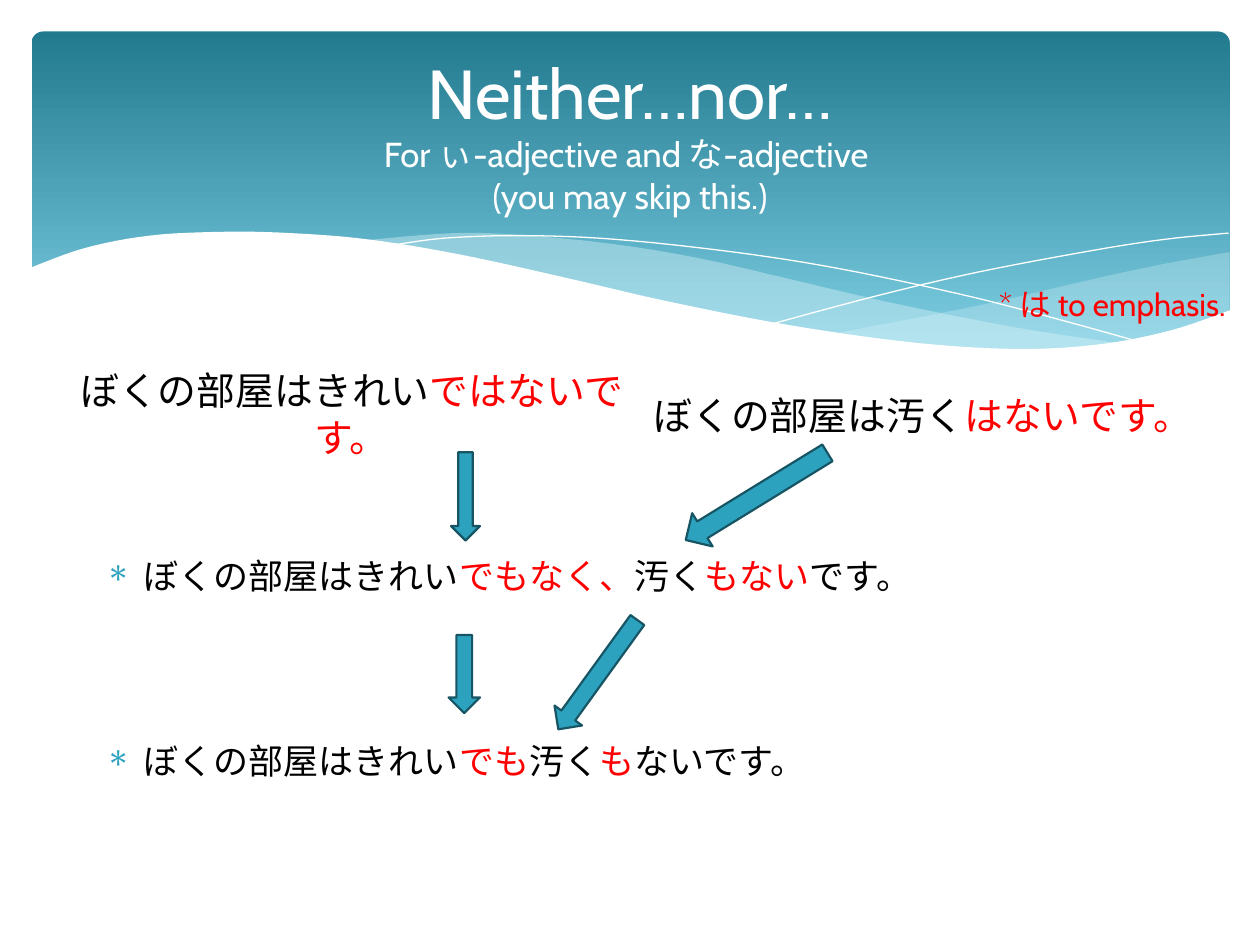
from lxml import etree
from pptx import Presentation
from pptx.dml.color import RGBColor
from pptx.enum.shapes import MSO_SHAPE
from pptx.enum.text import MSO_ANCHOR, PP_ALIGN
from pptx.oxml.ns import qn
from pptx.util import Inches, Pt

PANEL, ARROW = MSO_SHAPE.ROUNDED_RECTANGLE, MSO_SHAPE.DOWN_ARROW
TOP, MIDDLE = MSO_ANCHOR.TOP, MSO_ANCHOR.MIDDLE
LEFT, CENTER = PP_ALIGN.LEFT, PP_ALIGN.CENTER
COLUMNS, ROWS = 10, 7.5
FONT = "Cabin"
COLORS = {
    "white": "FFFFFF", "black": "000000", "red": "FF0000", "accent": "2DA2BF",
    "outline": "175564", "deep": "227A8F", "sky": "7ACBE0", "mist": "DEF5FA",
}

WAVE_TOP = [(9.77, 2.46), (9.3, 2.62), (8.75, 2.73), (8.09, 2.77), (7.26, 2.72),
            (6.26, 2.58), (5.29, 2.39), (4.47, 2.2), (3.65, 2.02), (2.92, 1.9),
            (2.3, 1.85), (1.77, 1.84), (1.19, 1.87), (0.67, 1.97), (0.23, 2.13)]
WAVE_BASE = [(0.23, 3.29), (9.77, 3.29)]
LONG_UPPER = [(8.93, 2.73), (8.07, 2.6), (7.06, 2.4), (6.29, 2.22), (5.55, 2.05),
              (4.89, 1.94), (4.2, 1.87), (3.61, 1.85), (2.86, 1.91)]
LONG_LOWER = [(2.86, 1.91), (3.62, 2.03), (4.49, 2.22), (5.3, 2.4), (6.01, 2.55),
              (6.8, 2.68), (7.48, 2.76), (8.18, 2.78), (8.93, 2.73)]
SHORT_UPPER = [(9.76, 2), (9.21, 2.1), (8.61, 2.23), (7.79, 2.42), (6.61, 2.65)]
SHORT_LOWER = [(6.61, 2.65), (7.32, 2.74), (8.03, 2.78), (8.72, 2.74),
               (9.28, 2.63), (9.76, 2.47)]
FALLING_LINE = [(3.09, 1.95), (3.53, 1.89), (4.16, 1.87), (4.89, 1.9), (5.82, 2),
                (6.65, 2.13), (7.6, 2.33), (8.31, 2.51), (9.07, 2.72)]
RISING_LINE = [(6.13, 2.57), (6.95, 2.35), (7.76, 2.16), (8.66, 1.99),
               (9.24, 1.9), (9.75, 1.85)]


def smooth(points, steps=6):
    padded = [points[0], *points, points[-1]]
    curve = [points[0]]
    for a, b, c, d in zip(padded, padded[1:], padded[2:], padded[3:]):
        for step in range(1, steps + 1):
            t = step / steps
            curve.append(tuple(
                (2 * q + (r - p) * t + (2 * p - 5 * q + 4 * r - s) * t ** 2
                 + (3 * q - p - 3 * r + s) * t ** 3) / 2
                for p, q, r, s in zip(a, b, c, d)))
    return curve


def rgb(name):
    return RGBColor.from_string(COLORS[name])


def write(frame, runs, size, align=LEFT, anchor=TOP, bullet=None):
    frame.word_wrap = True
    frame.vertical_anchor = anchor
    paragraph = frame.paragraphs[0]
    paragraph.alignment = align
    if bullet:
        properties = paragraph._p.get_or_add_pPr()
        properties.set("marL", str(Inches(0.3)))
        properties.set("indent", str(-Inches(0.3)))
        tint = etree.SubElement(properties, qn("a:buClr"))
        etree.SubElement(tint, qn("a:srgbClr"), val=COLORS["accent"])
        etree.SubElement(properties, qn("a:buChar"), char=bullet)
    for words, color, *own_size in runs:
        for index, line in enumerate(words.split("\n")):
            if index:
                paragraph.add_line_break()
            if line:
                run = paragraph.add_run()
                run.text = line
                run.font.name = FONT
                run.font.size = Pt(own_size[0] if own_size else size)
                run.font.color.rgb = rgb(color)


class Deck:
    def __init__(self):
        self.presentation = Presentation()
        self.presentation.slide_width = Inches(10)
        self.presentation.slide_height = Inches(7.5)
        self.column = self.presentation.slide_width / COLUMNS
        self.row = self.presentation.slide_height / ROWS
        blank = self.presentation.slide_layouts[6]
        self.slide = self.presentation.slides.add_slide(blank)

    def place(self, column, row, columns, rows):
        return (round(column * self.column), round(row * self.row),
                round(columns * self.column), round(rows * self.row))

    def panel(self, *cells):
        panel = self.slide.shapes.add_shape(PANEL, *self.place(*cells))
        panel.shadow.inherit = False
        panel.adjustments[0] = 0.034
        panel.line.fill.background()
        panel.fill.gradient()
        panel.fill.gradient_angle = 270
        for stop, color, position in zip(panel.fill.gradient_stops, ("deep", "sky"), (0, 0.9)):
            stop.color.rgb = rgb(color)
            stop.position = position

    def outline(self, points, closed):
        (x, y), *rest = [(x * self.column, y * self.row) for x, y in points]
        builder = self.slide.shapes.build_freeform(round(x), round(y))
        builder.add_line_segments([(round(x), round(y)) for x, y in rest], close=closed)
        shape = builder.convert_to_shape()
        shape.shadow.inherit = False
        return shape

    def wave(self, points, color, opacity=100):
        wave = self.outline(points, True)
        wave.line.fill.background()
        wave.fill.solid()
        wave.fill.fore_color.rgb = rgb(color)
        tint = wave.fill._xPr.find(qn("a:solidFill"))[0]
        etree.SubElement(tint, qn("a:alpha"), val=str(opacity * 1000))

    def curve(self, points):
        curve = self.outline(smooth(points), False)
        curve.fill.background()
        curve.line.color.rgb = rgb("white")
        curve.line.width = Pt(0)

    def text(self, cells, runs, **style):
        write(self.slide.shapes.add_textbox(*self.place(*cells)).text_frame, runs, **style)

    def arrow(self, cells, rotation=0):
        arrow = self.slide.shapes.add_shape(ARROW, *self.place(*cells))
        arrow.shadow.inherit = False
        arrow.rotation = rotation
        arrow.fill.solid()
        arrow.fill.fore_color.rgb = rgb("accent")
        arrow.line.color.rgb = rgb("outline")
        arrow.line.width = Pt(1.25)


def main():
    deck = Deck()
    deck.panel(0.25, 0.25, 9.51, 2.7)
    deck.wave(smooth(SHORT_UPPER) + smooth(SHORT_LOWER), "mist", 29)
    deck.wave(smooth(LONG_UPPER) + smooth(LONG_LOWER), "mist", 40)
    deck.curve(FALLING_LINE)
    deck.curve(RISING_LINE)
    deck.wave(smooth(WAVE_TOP) + WAVE_BASE, "white")

    deck.text((0.5, 0.37, 9, 1.37),
              [("Neither…nor…\n", "white", 39.6),
               ("For ぃ-adjective and な-adjective \n(you may skip this.)", "white")],
              size=19.8, align=CENTER, anchor=MIDDLE)

    premises = [
        ((0.5, 2.93, 4.58, 0.7), [("ぼくの部屋はきれい", "black"), ("ではないです。", "red")]),
        ((5.08, 2.94, 4.18, 0.7), [("ぼくの部屋は汚く", "black"), ("はないです。", "red")]),
    ]
    for cells, runs in premises:
        deck.text(cells, runs, size=22.2, align=CENTER, anchor=MIDDLE)

    conclusions = [
        ((0.74, 4.35, 8.01, 0.7),
         [("ぼくの部屋はきれい", "black"), ("でもなく、", "red"), ("汚く", "black"),
          ("もない", "red"), ("です。", "black")]),
        ((0.74, 5.82, 6.76, 0.7),
         [("ぼくの部屋はきれい", "black"), ("でも", "red"), ("汚く", "black"),
          ("も", "red"), ("ないです。", "black")]),
    ]
    for cells, runs in conclusions:
        deck.text(cells, runs, size=20, bullet="∗")

    deck.text((7.83, 2.21, 2.03, 0.4), [("* は to emphasis.", "red")], size=18)

    deck.arrow((5.85, 3.28, 0.31, 1.32), 58.4)
    deck.arrow((3.58, 3.59, 0.23, 0.7))
    deck.arrow((3.56, 5.04, 0.25, 0.62))
    deck.arrow((4.61, 4.82, 0.27, 1.07), 35.9)
    deck.presentation.save("out.pptx")


if __name__ == "__main__":
    main()
